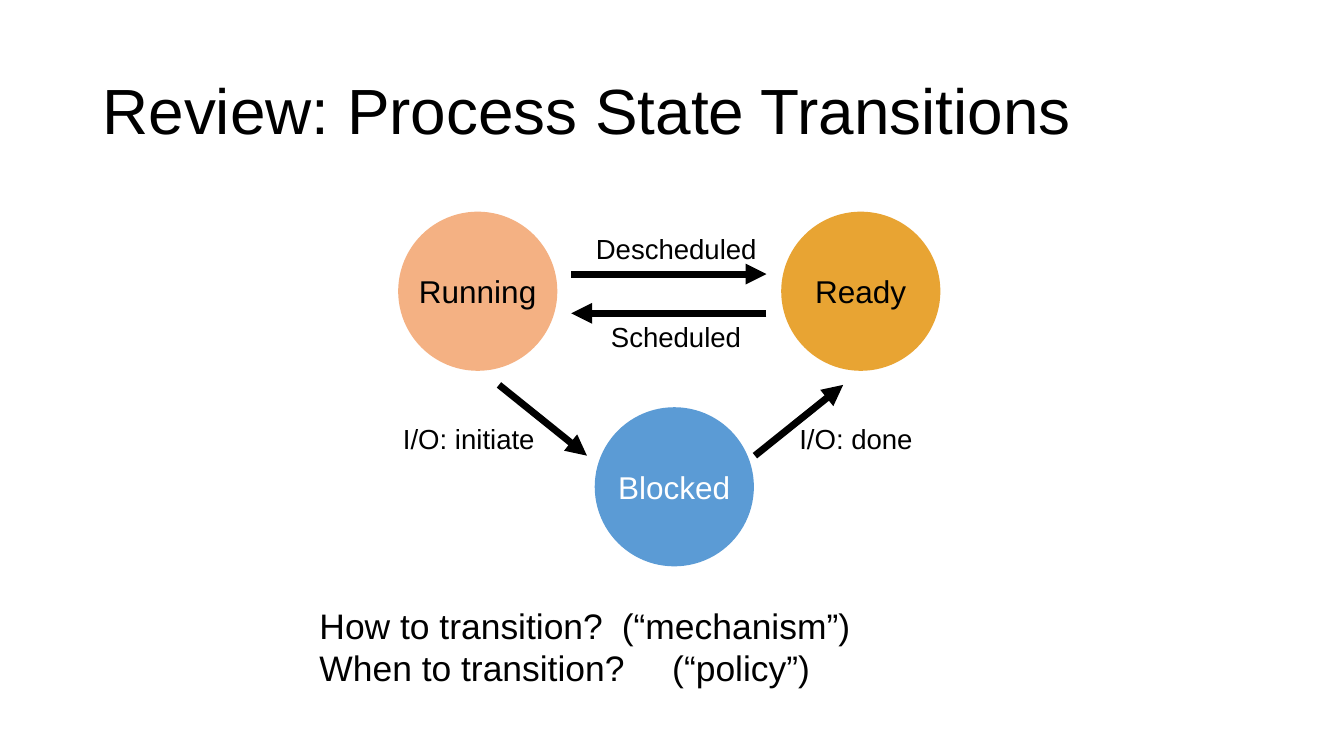
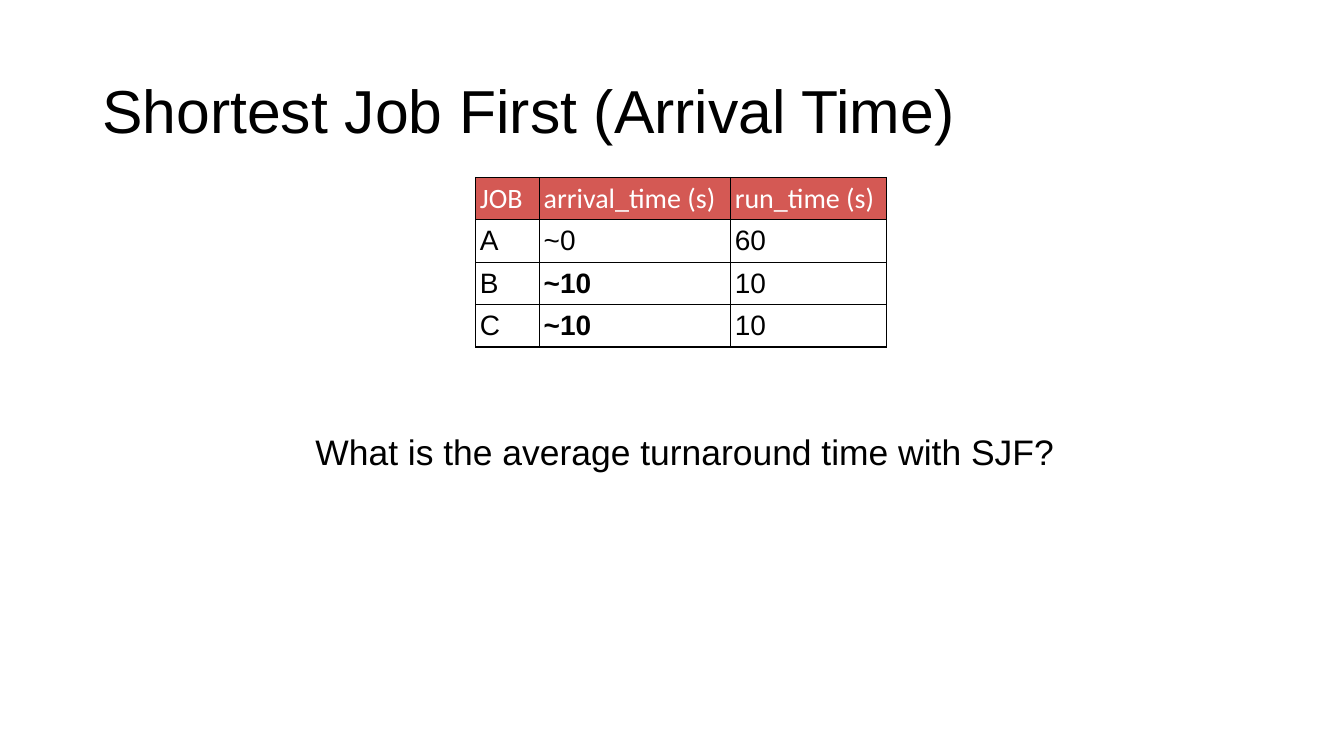
from dataclasses import dataclass

import pptx
import pptx.dml.color
import pptx.enum.shapes
import pptx.enum.text
import pptx.oxml
import pptx.oxml.ns
import pptx.util

COLS, ROWS = 64, 36
CELL = pptx.util.Pt(15)
INK, PAPER = "000000", "FFFFFF"
PEACH, AMBER, BLUE, RED = "F4B183", "E8A433", "5B9BD5", "D45954"
SANS = "Arial"
LEFT, MID = pptx.enum.text.PP_ALIGN.LEFT, pptx.enum.text.PP_ALIGN.CENTER
MIDDLE = pptx.enum.text.MSO_ANCHOR.MIDDLE
PAD = pptx.util.Inches(0.04)
SIDES = ("left", "right", "top", "bottom")
SIZE = 7.58  # circle width, in grid cells


@dataclass(frozen=True)
class State:
    name: str
    col: float
    row: float
    fill: str
    ink: str = INK


@dataclass(frozen=True)
class Arrow:
    start: tuple[float, float]
    end: tuple[float, float]


@dataclass(frozen=True)
class Label:
    lines: tuple[str, ...]
    col: float
    row: float
    width: float
    height: float = 1.97
    size: float = 19.7


STATES = (
    State("Running", 18.96, 10.08, PEACH),
    State("Ready", 37.2, 10.08, AMBER),
    State("Blocked", 28.32, 19.39, BLUE, PAPER),
)
ARROWS = (
    Arrow((27.2, 13.05), (36.5, 13.05)),
    Arrow((36.5, 14.92), (27.2, 14.92)),
    Arrow((23.76, 18.33), (27.95, 21.7)),
    Arrow((35.95, 21.7), (40.15, 18.33)),
)
LABELS = (
    Label(("Scheduled",), 28.9, 15.02, 6.8),
    Label(("Descheduled",), 28.18, 10.85, 8.2),
    Label(("I/O: initiate",), 19, 19.92, 6.8),
    Label(("I/O: done",), 37.87, 19.92, 6),
    Label(("How to transition?\t(“mechanism”)", "When to transition?\t(“policy”)"),
          15.02, 28.56, 26.4, 4.46, 25.3),
)
ASK = Label(("What is the average turnaround time with SJF?",),
            14.83, 20.26, 35.9, 2.44, 25.3)
JOBS = (
    ("JOB", "arrival_time (s)", "run_time (s)"),
    ("A", "~0", "60"),
    ("B", "~10", "10"),
    ("C", "~10", "10"),
)
WIDTHS = (3.04, 9.1, 7.4)
HIGH = 2.02


def grid(*cells: float) -> list[int]:
    """Turn grid counts into slide units."""
    return [round(n * CELL) for n in cells]


def color(code: str):
    return pptx.dml.color.RGBColor.from_string(code)


def put(item, values: dict) -> None:
    for name, value in values.items():
        setattr(item, name, value)


def inset(pad: int) -> dict:
    return {f"margin_{side}": pad for side in SIDES}


def write(frame, lines: tuple[str, ...], size: float, ink: str = INK,
          face: str = SANS, bold: bool = False, align=LEFT) -> None:
    for i, line in enumerate(lines):
        para = frame.add_paragraph() if i else frame.paragraphs[0]
        para.alignment = align
        run = para.add_run()
        run.text = line
        put(run.font, {"size": pptx.util.Pt(size), "name": face, "bold": bold})
        run.font.color.rgb = color(ink)


def start(deck, text: str, size: float):
    """Add a slide with its title."""
    slide = deck.slides.add_slide(deck.slide_layouts[5])
    title = slide.shapes.title
    put(title, dict(zip(("left", "top", "width", "height"),
                        grid(4.4, 1.92, 55.2, 6.96))))
    frame = title.text_frame
    put(frame, {"vertical_anchor": MIDDLE, "word_wrap": True,
                "auto_size": pptx.enum.text.MSO_AUTO_SIZE.NONE})
    write(frame, (text,), size)
    frame.paragraphs[0].line_spacing = 0.9
    return slide


def disc(slide, state: State) -> None:
    shape = slide.shapes.add_shape(pptx.enum.shapes.MSO_SHAPE.OVAL,
                                   *grid(state.col, state.row, SIZE, SIZE))
    shape.shadow.inherit = False
    shape.fill.solid()
    shape.fill.fore_color.rgb = color(state.fill)
    shape.line.fill.background()
    put(shape.text_frame, {"vertical_anchor": MIDDLE, "word_wrap": False, **inset(0)})
    write(shape.text_frame, (state.name,), 22.5, state.ink, align=MID)


def link(slide, arrow: Arrow) -> None:
    line = slide.shapes.add_connector(pptx.enum.shapes.MSO_CONNECTOR.STRAIGHT,
                                      *grid(*arrow.start, *arrow.end))
    line.line.width = pptx.util.Pt(5)
    line.line.color.rgb = color(INK)
    tail = pptx.oxml.parse_xml(
        f'<a:tailEnd {pptx.oxml.ns.nsdecls("a")} type="triangle"/>')
    line.line._get_or_add_ln().append(tail)
    line._element.spPr.append(pptx.oxml.parse_xml(
        f'<a:effectLst {pptx.oxml.ns.nsdecls("a")}/>'))


def note(slide, label: Label) -> None:
    box = slide.shapes.add_textbox(
        *grid(label.col, label.row, label.width, label.height))
    put(box.text_frame, {"vertical_anchor": MIDDLE, "word_wrap": True, **inset(PAD)})
    write(box.text_frame, label.lines, label.size)


def rule(cell) -> None:
    """Draw the four borders of a table cell."""
    for side in "LRTB":
        cell._tc.get_or_add_tcPr().append(pptx.oxml.parse_xml(
            f'<a:ln{side} {pptx.oxml.ns.nsdecls("a")} w="12700"><a:solidFill>'
            f'<a:srgbClr val="{INK}"/></a:solidFill></a:ln{side}>'))


def chart(slide) -> None:
    """Add the table of jobs."""
    table = slide.shapes.add_table(
        len(JOBS), len(WIDTHS),
        *grid(22.66, 8.45, sum(WIDTHS), HIGH * len(JOBS))).table
    put(table, {"first_row": False, "horz_banding": False})
    for col, width in zip(table.columns, grid(*WIDTHS)):
        col.width = width
    for r, job in enumerate(JOBS):
        table.rows[r].height = grid(HIGH)[0]
        for c, text in enumerate(job):
            cell = table.cell(r, c)
            put(cell, {"vertical_anchor": MIDDLE, **inset(PAD)})
            rule(cell)
            if r == 0:
                cell.fill.solid()
                cell.fill.fore_color.rgb = color(RED)
                write(cell.text_frame, (text,), 20, PAPER, "Calibri")
            else:
                cell.fill.background()
                write(cell.text_frame, (text,), 20, bold=text == "~10")


def main() -> None:
    deck = pptx.Presentation()
    put(deck, dict(zip(("slide_width", "slide_height"), grid(COLS, ROWS))))

    slide = start(deck, "Review: Process State Transitions", 45.6)
    for draw, items in ((disc, STATES), (link, ARROWS), (note, LABELS)):
        for item in items:
            draw(slide, item)

    slide = start(deck, "Shortest Job First (Arrival Time)", 43.3)
    chart(slide)
    note(slide, ASK)

    deck.save("out.pptx")


if __name__ == "__main__":
    main()
